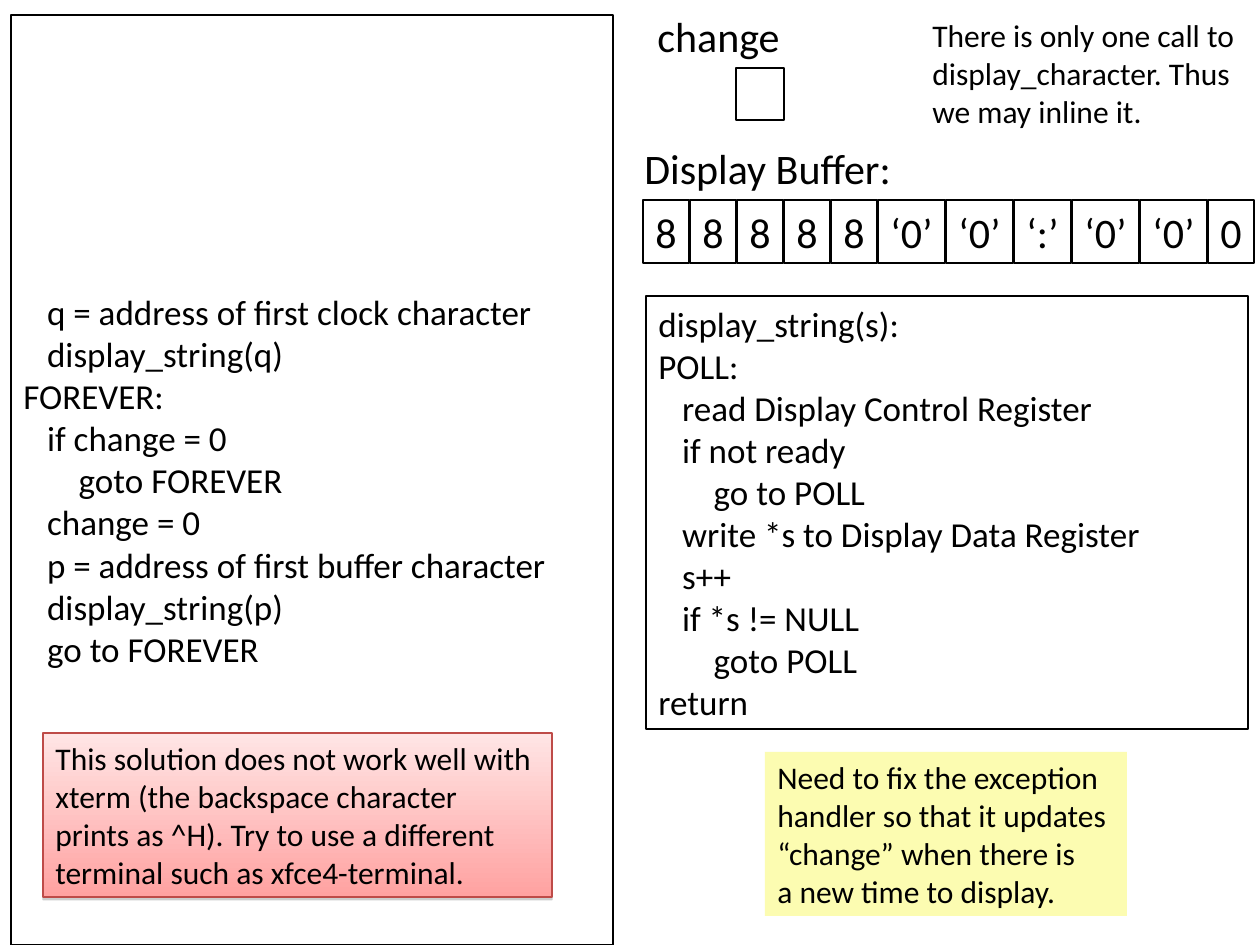
import pptx
import pptx.dml.color
import pptx.enum.shapes
import pptx.enum.text
import pptx.util
from lxml import etree

PX = 914400 / 126
FONT = "Calibri"
BLACK = "000000"
A_NS = "http://schemas.openxmlformats.org/drawingml/2006/main"

MAIN_CODE = """   q = address of first clock character
   display_string(q)
FOREVER:
   if change = 0
       goto FOREVER
   change = 0
   p = address of first buffer character
   display_string(p)
   go to FOREVER"""

DISPLAY_CODE = """display_string(s):
POLL:
   read Display Control Register
   if not ready
       go to POLL
   write *s to Display Data Register
   s++
   if *s != NULL
       goto POLL
return"""

INLINE_NOTE = """There is only one call to
display_character. Thus
we may inline it."""

HANDLER_NOTE = """Need to fix the exception
handler so that it updates
“change” when there is
a new time to display."""

TERMINAL_NOTE = """This solution does not work well with
xterm (the backspace character
prints as ^H). Try to use a different
terminal such as xfce4-terminal."""

BUFFER = ["8"] * 5 + ["‘0’", "‘0’", "‘:’", "‘0’", "‘0’", "0"]
CELL_STEPS = {"8": 47, "0": 47, "‘0’": 68, "‘:’": 58}


def px(n):
    return pptx.util.Emu(round(n * PX))


def rgb(value):
    return pptx.dml.color.RGBColor.from_string(value)


def set_text(sp, text, size, wrap=False, middle=False):
    tf = sp.text_frame
    tf.text = text
    tf.word_wrap = wrap
    if middle:
        tf.vertical_anchor = pptx.enum.text.MSO_ANCHOR.MIDDLE
    else:
        tf.vertical_anchor = pptx.enum.text.MSO_ANCHOR.TOP
        tf.auto_size = pptx.enum.text.MSO_AUTO_SIZE.SHAPE_TO_FIT_TEXT
    for p in tf.paragraphs:
        p.alignment = pptx.enum.text.PP_ALIGN.LEFT
        for r in p.runs:
            r.font.name = FONT
            r.font.size = pptx.util.Pt(size)
            r.font.color.rgb = rgb(BLACK)


def add_box(s, x, y, w, h, line=BLACK, fill=None):
    sp = s.shapes.add_shape(pptx.enum.shapes.MSO_SHAPE.RECTANGLE,
                            px(x), px(y), px(w), px(h))
    sp.shadow.inherit = False
    if fill:
        sp.fill.solid()
        sp.fill.fore_color.rgb = rgb(fill)
    else:
        sp.fill.background()
    if line:
        sp.line.color.rgb = rgb(line)
        sp.line.width = pptx.util.Pt(0.75)
    else:
        sp.line.fill.background()
    return sp


def add_label(s, x, y, w, h, text, size):
    set_text(s.shapes.add_textbox(px(x), px(y), px(w), px(h)), text, size)


def add_drop_shadow(sp):
    effects = sp._element.spPr.find(f"{{{A_NS}}}effectLst")
    shadow = etree.SubElement(effects, f"{{{A_NS}}}outerShdw", blurRad="0",
                              dist=str(pptx.util.Pt(1.6)), dir="5400000",
                              rotWithShape="0")
    color = etree.SubElement(shadow, f"{{{A_NS}}}srgbClr", val="808080")
    etree.SubElement(color, f"{{{A_NS}}}alpha", val="38000")


def add_main_program(s, x, y, w, h):
    set_text(add_box(s, x, y, w, h), MAIN_CODE, 20, wrap=True, middle=True)


def add_terminal_warning(s, x, y, w, h):
    sp = add_box(s, x, y, w, h, line="BE4B48")
    sp.fill.gradient()
    sp.fill.gradient_angle = 270
    for stop, position, color in zip(sp.fill.gradient_stops, (0, 1),
                                     ("FFE5E5", "FFA2A1")):
        stop.position = position
        stop.color.rgb = rgb(color)
    add_drop_shadow(sp)
    set_text(sp, TERMINAL_NOTE, 18)


def add_change_flag(s, x, y, w, h):
    add_label(s, x, y, w, h, "change", 24)
    add_box(s, x + 91, y + 64, 48, 52)


def add_display_buffer(s, x, y, h):
    add_label(s, x - 11, y - 64, 280, h, "Display Buffer:", 24)
    for value in BUFFER:
        step = CELL_STEPS[value]
        set_text(add_box(s, x, y, step - 1, h), value, 24)
        x += step


def add_display_routine(s, x, y, w, h):
    set_text(add_box(s, x, y, w, h), DISPLAY_CODE, 20, wrap=True)


def add_handler_note(s, x, y, w, h):
    set_text(add_box(s, x, y, w, h, line=None, fill="FCFCB1"),
             HANDLER_NOTE, 18)


def main():
    prs = pptx.Presentation()
    prs.slide_width = px(1260)
    prs.slide_height = px(945)
    s = prs.slides.add_slide(prs.slide_layouts[6])
    add_main_program(s, 11, 15, 602, 930)
    add_display_buffer(s, 643, 200, 63)
    add_change_flag(s, 645, 4, 156, 63)
    add_display_routine(s, 646, 296, 602, 433)
    add_label(s, 920, 10, 328, 126, INLINE_NOTE, 18)
    add_handler_note(s, 765, 752, 362, 164)
    add_terminal_warning(s, 43, 733, 509, 164)
    prs.save("out.pptx")


if __name__ == "__main__":
    main()
